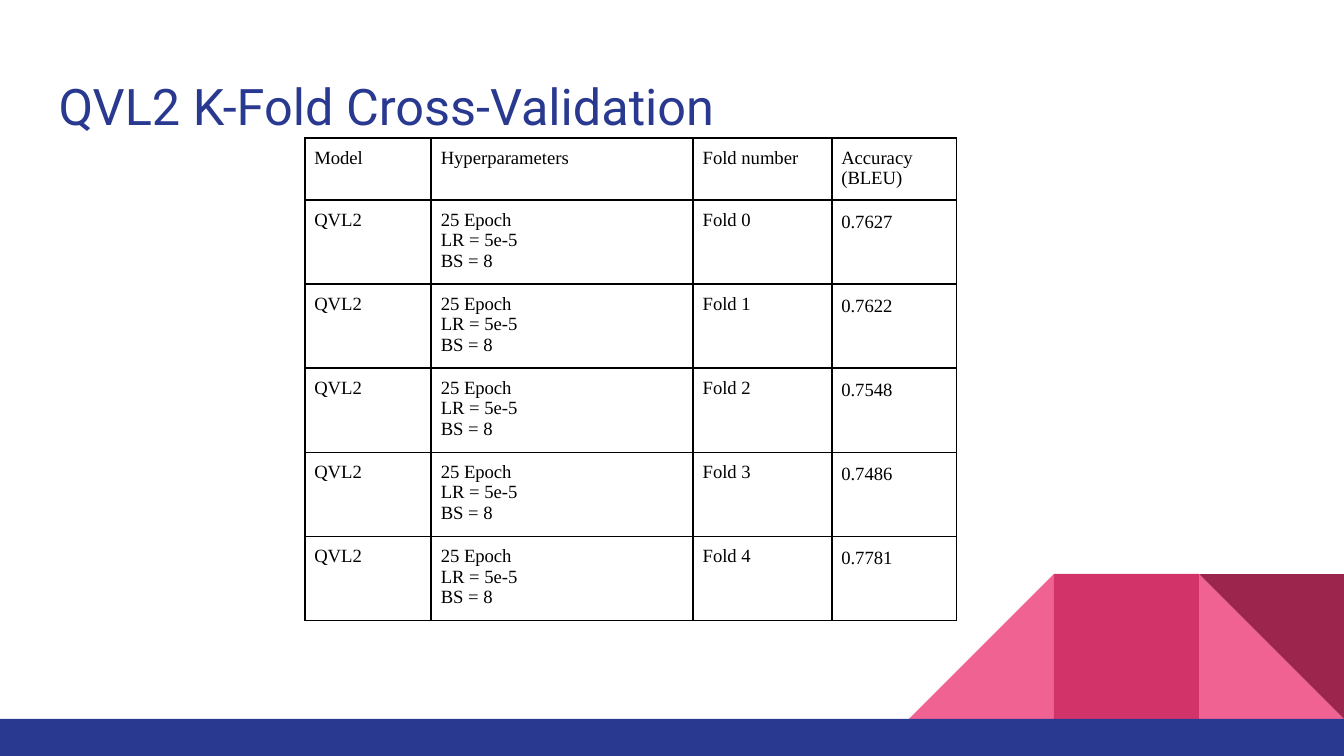
from lxml import etree
from pptx import Presentation
from pptx.dml.color import RGBColor
from pptx.enum import shapes, text
from pptx.oxml import ns
from pptx.util import Cm, Pt

WHITE = RGBColor(0xFF, 0xFF, 0xFF)
BLACK = RGBColor(0x00, 0x00, 0x00)
NAVY = RGBColor(0x2A, 0x39, 0x90)
PINK = RGBColor(0xF0, 0x62, 0x92)
ROSE = RGBColor(0xD2, 0x33, 0x69)
WINE = RGBColor(0x9C, 0x25, 0x4D)

WIDTH, HEIGHT = 25.4, 14.29
FLOOR = 13.59
SIDE = 2.74
COLS = (2.39, 4.95, 2.62, 2.36)
HEAD_ROW, FOLD_ROW = 1.17, 1.59

MODEL = "QVL2"
HEADS = ("Model", "Hyperparameters", "Fold number", "Accuracy\n(BLEU)")
PARAMS = "25 Epoch\nLR = 5e-5\nBS = 8"
SCORES = ("0.7627", "0.7622", "0.7548", "0.7486", "0.7781")


def style(para, font, size, color):
    for run in para.runs:
        run.font.name = font
        run.font.size = Pt(size)
        run.font.color.rgb = color


def add_block(slide, kind, left, top, width, height, color, turn=0):
    block = slide.shapes.add_shape(kind, Cm(left), Cm(top), Cm(width), Cm(height))
    block.fill.solid()
    block.fill.fore_color.rgb = color
    block.line.fill.background()
    block.shadow.inherit = False
    block.rotation = turn


def add_decor(slide):
    """Row of square tiles above the footer bar, set from the right edge."""
    tri = shapes.MSO_SHAPE.RIGHT_TRIANGLE
    rect = shapes.MSO_SHAPE.RECTANGLE
    tiles = ((1, tri, PINK, 0), (3, tri, PINK, 270),
             (2, rect, ROSE, 0), (1, tri, WINE, 180))
    for step, kind, color, turn in tiles:
        add_block(slide, kind, WIDTH - step * SIDE, FLOOR - SIDE,
                  SIDE, SIDE, color, turn)
    add_block(slide, rect, 0, FLOOR, WIDTH, HEIGHT - FLOOR, NAVY)


def set_title(slide, words):
    title = slide.shapes.title
    title.left, title.top = Cm(0.86), Cm(1.16)
    title.width, title.height = Cm(23.67), Cm(1.68)
    frame = title.text_frame
    frame.text = words
    frame.auto_size = text.MSO_AUTO_SIZE.NONE
    frame.vertical_anchor = text.MSO_ANCHOR.TOP
    frame.margin_left = frame.margin_right = Cm(0.25)
    frame.margin_top = frame.margin_bottom = Cm(0.25)
    para = frame.paragraphs[0]
    para.alignment = text.PP_ALIGN.LEFT
    style(para, "Roboto", 27, NAVY)


def add_border(cell):
    props = cell._tc.get_or_add_tcPr()
    for edge in ("a:lnL", "a:lnR", "a:lnT", "a:lnB"):
        line = etree.SubElement(props, ns.qn(edge), w=str(Pt(1)))
        fill = etree.SubElement(line, ns.qn("a:solidFill"))
        etree.SubElement(fill, ns.qn("a:srgbClr"), val=str(BLACK))


def fill_cell(cell, words, space=None):
    cell.text_frame.text = words
    cell.margin_left = cell.margin_right = Cm(0.18)
    cell.margin_top = cell.margin_bottom = Cm(0.18)
    for para in cell.text_frame.paragraphs:
        para.line_spacing = space
        style(para, "Times New Roman", 10, BLACK)
    add_border(cell)
    cell.fill.background()


def add_scores(slide):
    rows = [HEADS]
    rows += [(MODEL, PARAMS, f"Fold {i}", score) for i, score in enumerate(SCORES)]
    tall = HEAD_ROW + FOLD_ROW * len(SCORES)
    table = slide.shapes.add_table(len(rows), len(COLS), Cm(5.76), Cm(2.61),
                                   Cm(sum(COLS)), Cm(tall)).table
    table.first_row = table.horz_banding = False
    for col, width in zip(table.columns, COLS):
        col.width = Cm(width)
    for r, row in enumerate(rows):
        table.rows[r].height = Cm(FOLD_ROW if r else HEAD_ROW)
        for c, words in enumerate(row):
            is_score = r > 0 and c == len(COLS) - 1
            fill_cell(table.cell(r, c), words, 1.11 if is_score else None)


def main():
    deck = Presentation()
    deck.slide_width, deck.slide_height = Cm(WIDTH), Cm(HEIGHT)
    slide = deck.slides.add_slide(deck.slide_layouts[5])
    slide.background.fill.solid()
    slide.background.fill.fore_color.rgb = WHITE
    add_decor(slide)
    set_title(slide, f"{MODEL} K-Fold Cross-Validation")
    add_scores(slide)
    deck.save("out.pptx")


if __name__ == "__main__":
    main()
